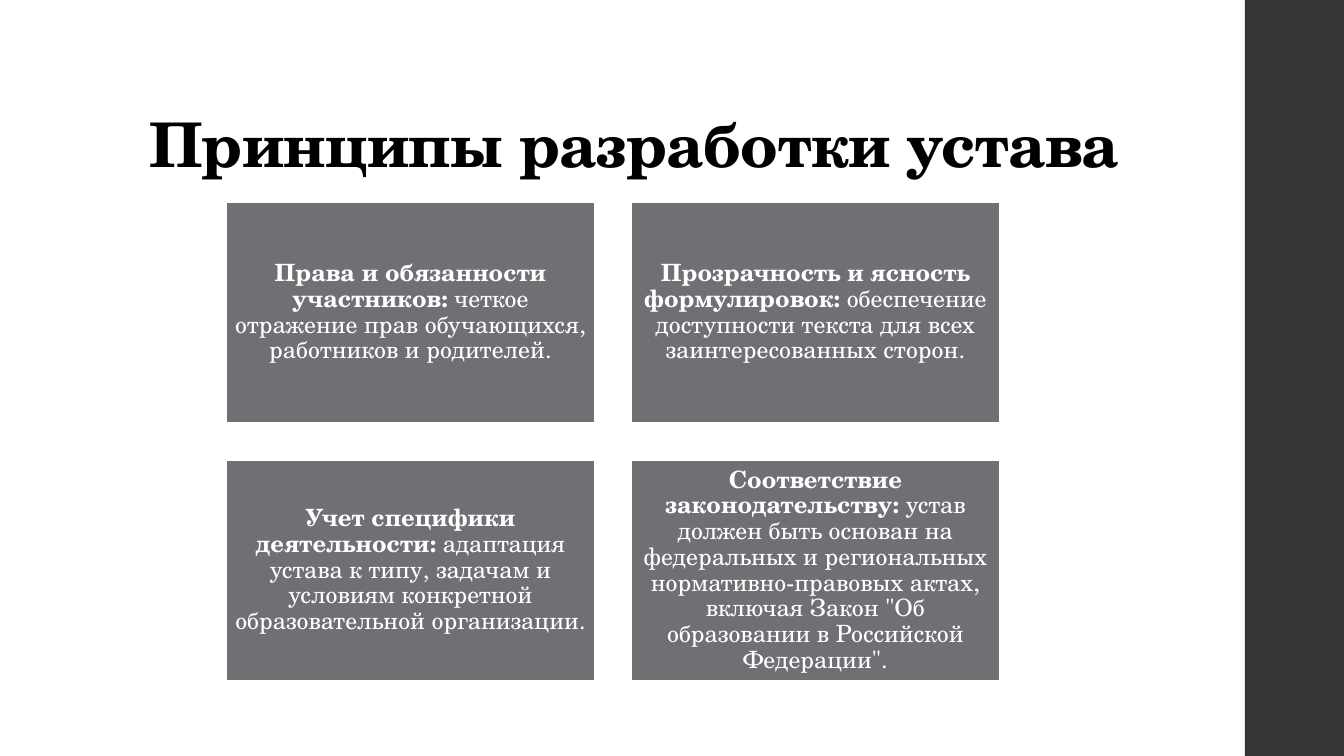
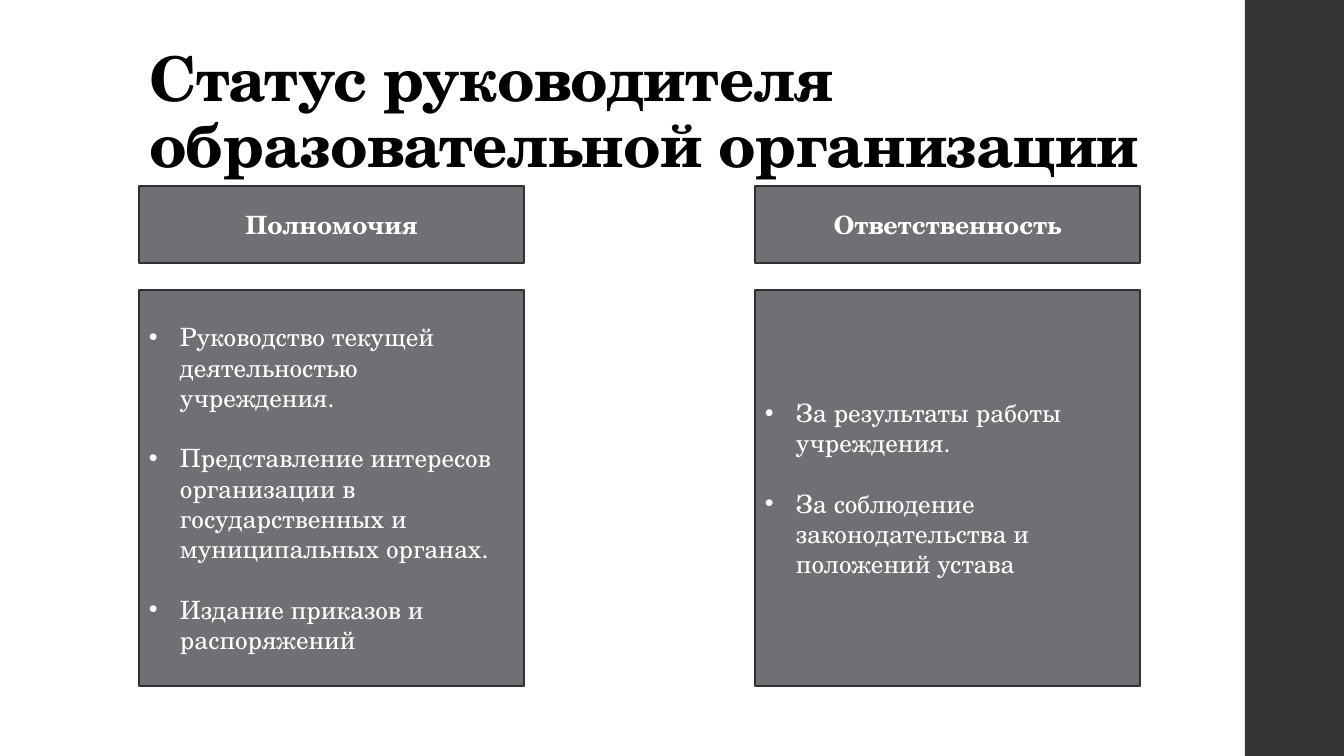
"""Build two slides: principles of a charter and the status of a school head."""
from dataclasses import dataclass

from lxml import etree
from pptx import Presentation
from pptx.dml.color import RGBColor
from pptx.enum.shapes import MSO_SHAPE
from pptx.enum.text import MSO_ANCHOR, MSO_AUTO_SIZE, PP_ALIGN
from pptx.oxml.ns import qn
from pptx.util import Pt

RECT = MSO_SHAPE.RECTANGLE
MIDDLE, BOTTOM = MSO_ANCHOR.MIDDLE, MSO_ANCHOR.BOTTOM
LEFT, CENTER = PP_ALIGN.LEFT, PP_ALIGN.CENTER
FIXED = MSO_AUTO_SIZE.NONE


@dataclass(frozen=True)
class Theme:
    """Hold the colours, font and type sizes."""
    font: str = "TeX Gyre Schola"
    ink: str = "000000"
    paper: str = "FFFFFF"
    band: str = "353537"
    tile: str = "6F6F74"
    edge: str = "313133"
    head: int = 44
    body: int = 18
    card: int = 17
    line: float = 1.1
    gap: float = 21.6


T = Theme()
PX = 914400 / 100.8

TITLES = ["Принципы разработки устава",
          "Статус руководителя образовательной организации"]
CARDS = [
    ("Права и обязанности участников:",
     " четкое отражение прав обучающихся, работников и родителей."),
    ("Прозрачность и ясность формулировок:",
     " обеспечение доступности текста для всех заинтересованных сторон."),
    ("Учет специфики деятельности:",
     " адаптация устава к типу, задачам и условиям конкретной образовательной организации."),
    ("Соответствие законодательству:",
     " устав должен быть основан на федеральных и региональных нормативно-правовых актах, "
     "включая Закон \"Об образовании в Российской Федерации\"."),
]
COLUMNS = [
    ("Полномочия", [
        "Руководство текущей деятельностью учреждения.",
        "Представление интересов организации в государственных и муниципальных органах.",
        "Издание приказов и распоряжений"]),
    ("Ответственность", [
        "За результаты работы учреждения.",
        "За соблюдение законодательства и положений устава"]),
]


def add_box(slide, area, fill, edge):
    """Add a flat rectangle at an area given in px."""
    box = slide.shapes.add_shape(RECT, *(round(v * PX) for v in area))
    box.shadow.inherit = False
    box.fill.solid()
    box.fill.fore_color.rgb = RGBColor.from_string(fill)
    box.line.color.rgb = RGBColor.from_string(edge)
    box.line.width = Pt(T.line)
    box.text_frame.word_wrap = True
    box.text_frame.vertical_anchor = MIDDLE
    return box


def style(run, size, color, bold=False):
    """Set the font of a run."""
    run.font.name = T.font
    run.font.size = Pt(size)
    run.font.bold = bold
    run.font.color.rgb = RGBColor.from_string(color)


deck = Presentation()
deck.slide_width, deck.slide_height = round(1344 * PX), round(756 * PX)
layout = deck.slide_layouts[5]
base = layout.placeholders[0]
base.left, base.top, base.width, base.height = (
    round(v * PX) for v in (139, 40, 1068, 146))

slides = []
for text in TITLES:
    slide = deck.slides.add_slide(layout)
    frame = slide.shapes.title.text_frame
    frame.text = text
    frame.auto_size = FIXED
    frame.word_wrap = True
    frame.vertical_anchor = BOTTOM
    para = frame.paragraphs[0]
    para.alignment = LEFT
    para.line_spacing = 0.9
    style(para.runs[0], T.head, T.ink, True)
    for prop in slide.shapes.title.element.iter(qn("a:rPr")):
        prop.set("spc", "-50")
    slides.append(slide)
rules, status = slides

band = add_box(rules, (1245, 0, 101, 756), T.band, T.band)
band.line.fill.background()
base.element.addprevious(band.element)

for i, parts in enumerate(CARDS):
    row, col = divmod(i, 2)
    area = (226 + col * 405, 202 + row * 258, 369, 221)
    frame = add_box(rules, area, T.tile, T.paper).text_frame
    frame.margin_left = frame.margin_right = round(7 * PX)
    frame.margin_top = frame.margin_bottom = round(7 * PX)
    para = frame.paragraphs[0]
    para.alignment = CENTER
    para.line_spacing = 0.9
    for text, bold in zip(parts, (True, False)):
        run = para.add_run()
        run.text = text
        style(run, T.card, T.paper, bold)

for i, (name, items) in enumerate(COLUMNS):
    left = 139 + i * 616
    head = add_box(status, (left, 186, 385, 77), T.tile, T.edge).text_frame
    head.text = name
    head.paragraphs[0].alignment = CENTER
    style(head.paragraphs[0].runs[0], T.body, T.paper, True)

    body = add_box(status, (left, 290, 385, 396), T.tile, T.edge)
    frame = body.text_frame
    frame.text = "\n".join(items)
    for n, para in enumerate(frame.paragraphs):
        para.alignment = LEFT
        if n:
            para.space_before = Pt(T.gap)
        style(para.runs[0], T.body, T.paper)
    for prop in body.element.iter(qn("a:pPr")):
        prop.set("marL", str(round(31 * PX)))
        prop.set("indent", str(round(-31 * PX)))
        etree.SubElement(prop, qn("a:buFont")).set("typeface", "Arial")
        etree.SubElement(prop, qn("a:buChar")).set("char", "•")

deck.save("out.pptx")
